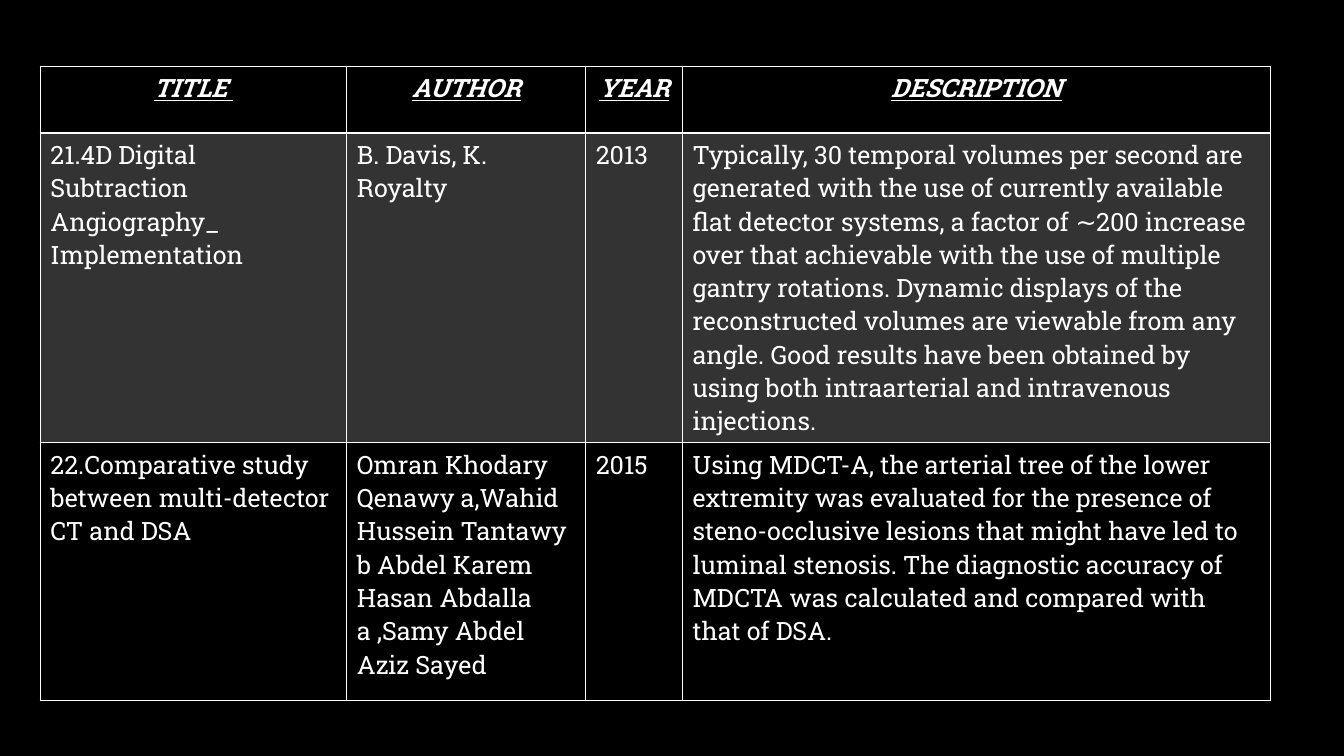
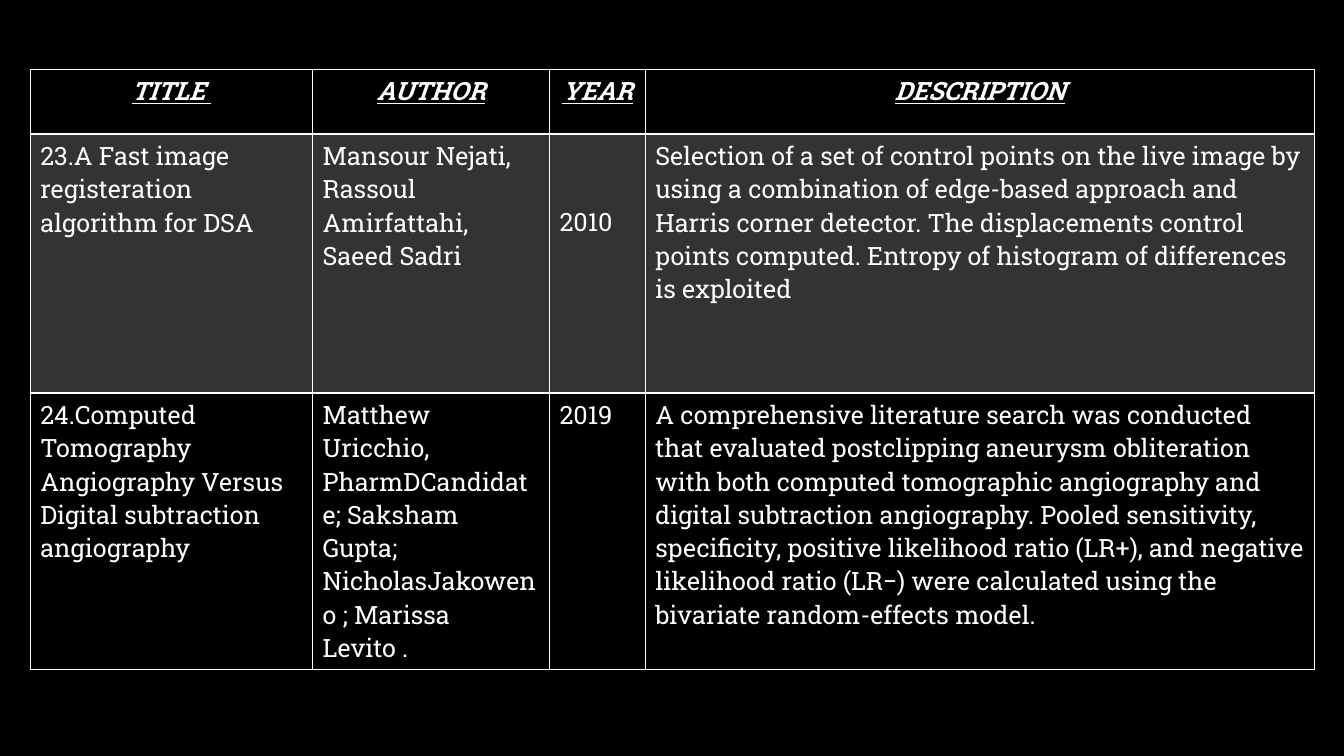
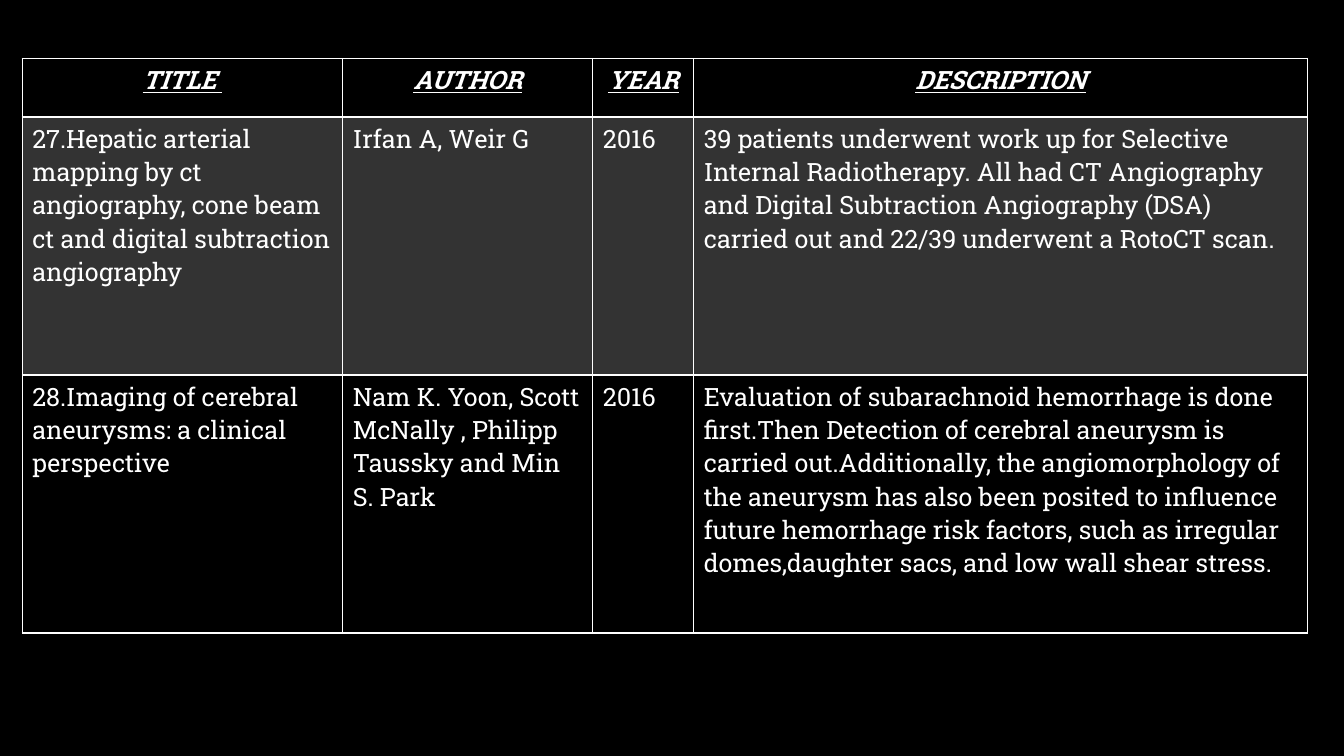
from lxml.etree import SubElement
from pptx import Presentation
from pptx.dml.color import RGBColor
from pptx.enum.text import PP_ALIGN as Align
from pptx.oxml.ns import qn
from pptx.util import Inches, Pt

BLACK = RGBColor(0x00, 0x00, 0x00)
WHITE = RGBColor(0xFF, 0xFF, 0xFF)
FONT = "Roboto Slab"
TEXT_SIZE = Pt(18)
THIN, THICK = Pt(1), Pt(2)
BAND_OPACITY = 20
BLANK_LAYOUT = 6
HEADINGS = ("TITLE ", "AUTHOR", "YEAR", "DESCRIPTION")
YEAR_COLUMN = HEADINGS.index("YEAR")

# Each survey slide: table corner, column widths and row heights in inches,
# the papers, and the top margin of the year in the first paper's row.
SURVEYS = [
    dict(
        corner=(0.4, 0.66),
        widths=(3.04, 2.37, 0.96, 5.83),
        heights=(0.66, 2.56, 2.56),
        papers=[
            ("21.4D Digital Subtraction Angiography_ Implementation ",
             "B. Davis, K. Royalty",
             "2013",
             "Typically, 30 temporal volumes per second are generated with the use of "
             "currently available flat detector systems, a factor of \u223c200 increase "
             "over that achievable with the use of multiple gantry rotations. Dynamic "
             "displays of the reconstructed volumes are viewable from any angle. Good "
             "results have been obtained by using both intraarterial and intravenous "
             "injections."),
            ("22.Comparative study between multi-detector CT and DSA ",
             "Omran Khodary Qenawy a,Wahid Hussein Tantawy b Abdel Karem Hasan "
             "Abdalla a ,Samy Abdel Aziz Sayed",
             "2015",
             "Using MDCT-A, the arterial tree of the lower extremity was evaluated for "
             "the presence of steno-occlusive lesions that might have led to luminal "
             "stenosis. The diagnostic accuracy of MDCTA was calculated and compared "
             "with that of DSA."),
        ],
    ),
    dict(
        corner=(0.3, 0.69),
        widths=(2.8, 2.35, 0.95, 6.64),
        heights=(0.64, 2.57, 2.57),
        first_year_margin=0.71,
        papers=[
            ("23.A Fast image registeration algorithm for DSA",
             "Mansour Nejati, Rassoul Amirfattahi, Saeed Sadri ",
             "2010",
             "Selection of a set of control points on the live image by using a "
             "combination of edge-based approach and Harris corner detector. The "
             "displacements control points computed. Entropy of histogram of "
             "differences is exploited"),
            ("24.Computed Tomography Angiography Versus Digital subtraction angiography ",
             "Matthew Uricchio, PharmDCandidate; Saksham Gupta; NicholasJakoweno ; "
             "Marissa Levito .",
             "2019",
             "A comprehensive literature search was conducted that evaluated "
             "postclipping aneurysm obliteration with both computed tomographic "
             "angiography and digital subtraction angiography. Pooled sensitivity, "
             "specificity, positive likelihood ratio (LR+), and negative likelihood "
             "ratio (LR\u2212) were calculated using the bivariate random-effects model."),
        ],
    ),
    dict(
        corner=(0.22, 0.58),
        widths=(3.18, 2.48, 1, 6.09),
        heights=(0.58, 2.56, 2.56),
        papers=[
            ("27.Hepatic arterial mapping by ct angiography, cone beam ct and digital "
             "subtraction angiography",
             "Irfan A, Weir G",
             "2016",
             "39 patients underwent work up for Selective Internal Radiotherapy. All "
             "had CT Angiography and Digital Subtraction Angiography (DSA) carried out "
             "and 22/39 underwent a RotoCT scan."),
            ("28.Imaging of cerebral aneurysms: a clinical perspective",
             "Nam K. Yoon, Scott McNally , Philipp Taussky and Min S. Park ",
             "2016",
             "Evaluation of subarachnoid hemorrhage is done first.Then Detection of "
             "cerebral aneurysm is carried out.Additionally, the angiomorphology of "
             "the aneurysm has also been posited to influence future hemorrhage risk "
             "factors, such as irregular domes,daughter sacs, and low wall shear stress."),
        ],
    ),
]


def add_borders(cell, top, bottom):
    """Draw white borders on the four sides of a cell."""
    properties = cell._tc.get_or_add_tcPr()
    for side, width in (("L", THIN), ("R", THIN), ("T", top), ("B", bottom)):
        border = SubElement(properties, qn(f"a:ln{side}"), w=str(int(width)))
        fill = SubElement(border, qn("a:solidFill"))
        SubElement(fill, qn("a:srgbClr"), val=str(WHITE))


def fill_cell(cell, banded):
    """Give a banded cell a translucent white fill, any other cell none."""
    if not banded:
        cell.fill.background()
        return
    cell.fill.solid()
    cell.fill.fore_color.rgb = WHITE
    color = cell._tc.tcPr.find(f"{qn('a:solidFill')}/{qn('a:srgbClr')}")
    SubElement(color, qn("a:alpha"), val=str(BAND_OPACITY * 1000))


def write_cell(cell, text, heading):
    """Write the text of a cell in the heading or the body style."""
    paragraph = cell.text_frame.paragraphs[0]
    paragraph.text = text
    paragraph.alignment = Align.CENTER if heading else Align.LEFT
    font = paragraph.runs[0].font
    font.name, font.size = FONT, TEXT_SIZE
    font.color.rgb = WHITE
    font.bold = font.italic = font.underline = heading


def add_survey(slide, corner, widths, heights, papers, first_year_margin=None):
    """Place the literature table with its top left at the given corner."""
    box = (*corner, sum(widths), sum(heights))
    survey = slide.shapes.add_table(
        len(heights), len(widths), *map(Inches, box)).table
    survey.first_row = survey.horz_banding = False
    for column, width in zip(survey.columns, widths):
        column.width = Inches(width)
    for row, height in zip(survey.rows, heights):
        row.height = Inches(height)

    for row_index, entries in enumerate([HEADINGS, *papers]):
        heading = row_index == 0
        first_paper = row_index == 1
        for column_index, text in enumerate(entries):
            cell = survey.cell(row_index, column_index)
            add_borders(cell,
                        top=THICK if first_paper else THIN,
                        bottom=THICK if heading else THIN)
            fill_cell(cell, banded=first_paper)
            write_cell(cell, text, heading)
    if first_year_margin is not None:
        survey.cell(1, YEAR_COLUMN).margin_top = Inches(first_year_margin)


def main():
    """Build the survey slides on a shared black background."""
    deck = Presentation()
    deck.slide_width, deck.slide_height = Inches(13.33), Inches(7.5)
    backdrop = deck.slide_master.background.fill
    backdrop.solid()
    backdrop.fore_color.rgb = BLACK
    for survey in SURVEYS:
        slide = deck.slides.add_slide(deck.slide_layouts[BLANK_LAYOUT])
        add_survey(slide, **survey)
    deck.save("out.pptx")


main()
